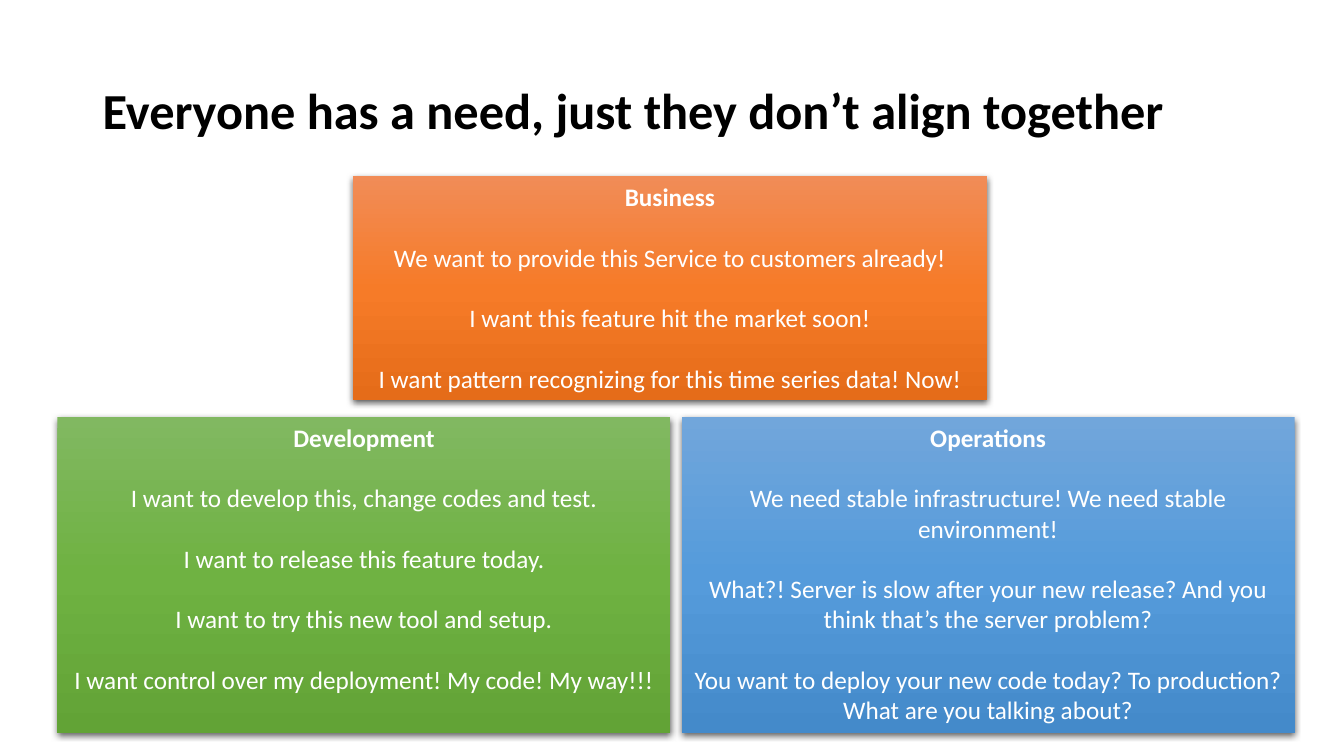
from copy import deepcopy

from pptx import Presentation
from pptx.dml.color import RGBColor
from pptx.enum.shapes import MSO_SHAPE
from pptx.enum.text import MSO_ANCHOR, MSO_AUTO_SIZE, PP_ALIGN
from pptx.oxml import parse_xml
from pptx.oxml.ns import nsdecls, qn
from pptx.util import Pt

PX = 9144  # 100 px to the inch
FONT = "Calibri"
BLACK = RGBColor(0x00, 0x00, 0x00)
WHITE = RGBColor(0xFF, 0xFF, 0xFF)
ORANGE = [RGBColor(0xF1, 0x8C, 0x57), RGBColor(0xF6, 0x7B, 0x28), RGBColor(0xE5, 0x6C, 0x19)]
GREEN = [RGBColor(0x81, 0xB8, 0x61), RGBColor(0x6F, 0xB2, 0x42), RGBColor(0x62, 0xA3, 0x36)]
BLUE = [RGBColor(0x71, 0xA6, 0xDB), RGBColor(0x55, 0x9B, 0xDB), RGBColor(0x44, 0x8A, 0xCA)]

BUSINESS_NEEDS = [
    "We want to provide this Service to customers already!",
    "I want this feature hit the market soon!",
    "I want pattern recognizing for this time series data! Now!",
]
DEVELOPMENT_NEEDS = [
    "I want to develop this, change codes and test.",
    "I want to release this feature today.",
    "I want to try this new tool and setup.",
    "I want control over my deployment! My code! My way!!!",
]
OPERATIONS_NEEDS = [
    "We need stable infrastructure! We need stable environment!",
    "What?! Server is slow after your new release? And you think that’s the server problem?",
    "You want to deploy your new code today? To production? What are you talking about?",
]


def scaled(box):
    return [length * PX for length in box]


def write(paragraph, text, size=18, color=WHITE, bold=False,
          align=PP_ALIGN.CENTER, space_before=0, line_spacing=None):
    paragraph.alignment = align
    paragraph.space_before = Pt(space_before)
    if line_spacing:
        paragraph.line_spacing = line_spacing
    run = paragraph.add_run()
    run.text = text
    run.font.name = FONT
    run.font.size = Pt(size)
    run.font.bold = bold
    run.font.color.rgb = color


def fill_gradient(shape, colors):
    """Fill from top to bottom with evenly spaced colours."""
    shape.fill.gradient()
    shape.fill.gradient_angle = 270
    stop_list = shape._element.spPr.find(".//" + qn("a:gsLst"))
    while len(stop_list) < len(colors):
        stop_list.insert(1, deepcopy(stop_list[0]))
    for index, (stop, color) in enumerate(zip(shape.fill.gradient_stops, colors)):
        stop.position = index / (len(colors) - 1)
        stop.color.rgb = color


def cast_shadow(shape):
    shape.shadow.inherit = False
    shape._element.spPr.find(qn("a:effectLst")).append(parse_xml(
        f'<a:outerShdw {nsdecls("a")} blurRad="{Pt(4.5)}" dist="{Pt(1.5)}" '
        'dir="5400000" algn="ctr" rotWithShape="0">'
        '<a:srgbClr val="000000"><a:alpha val="63000"/></a:srgbClr></a:outerShdw>'))


def add_title(slide, box, text):
    frame = slide.shapes.add_textbox(*scaled(box)).text_frame
    frame.word_wrap = True
    frame.vertical_anchor = MSO_ANCHOR.MIDDLE
    write(frame.paragraphs[0], text, size=36, color=BLACK, bold=True,
          align=PP_ALIGN.LEFT, line_spacing=0.9)


def add_team(slide, box, name, needs, colors):
    team = slide.shapes.add_shape(MSO_SHAPE.RECTANGLE, *scaled(box))
    fill_gradient(team, colors)
    team.line.fill.background()
    cast_shadow(team)
    frame = team.text_frame
    frame.word_wrap = True
    frame.auto_size = MSO_AUTO_SIZE.SHAPE_TO_FIT_TEXT
    frame.vertical_anchor = MSO_ANCHOR.TOP
    write(frame.paragraphs[0], name, bold=True)
    for need in needs:
        write(frame.add_paragraph(), need, space_before=21.6)


def main():
    deck = Presentation()
    deck.slide_width, deck.slide_height = scaled((1333, 750))
    slide = deck.slides.add_slide(deck.slide_layouts[6])
    add_team(slide, (350, 175, 629, 222), "Business", BUSINESS_NEEDS, ORANGE)
    lower_teams = [("Development", DEVELOPMENT_NEEDS, GREEN),
                   ("Operations", OPERATIONS_NEEDS, BLUE)]
    left, top, width, height, gap = 57, 414, 608, 313, 11
    for column, team in enumerate(lower_teams):
        add_team(slide, (left + column * (width + gap), top, width, height), *team)
    add_title(slide, (92, 40, 1150, 145),
              "Everyone has a need, just they don’t align together")
    deck.save("out.pptx")


if __name__ == "__main__":
    main()
